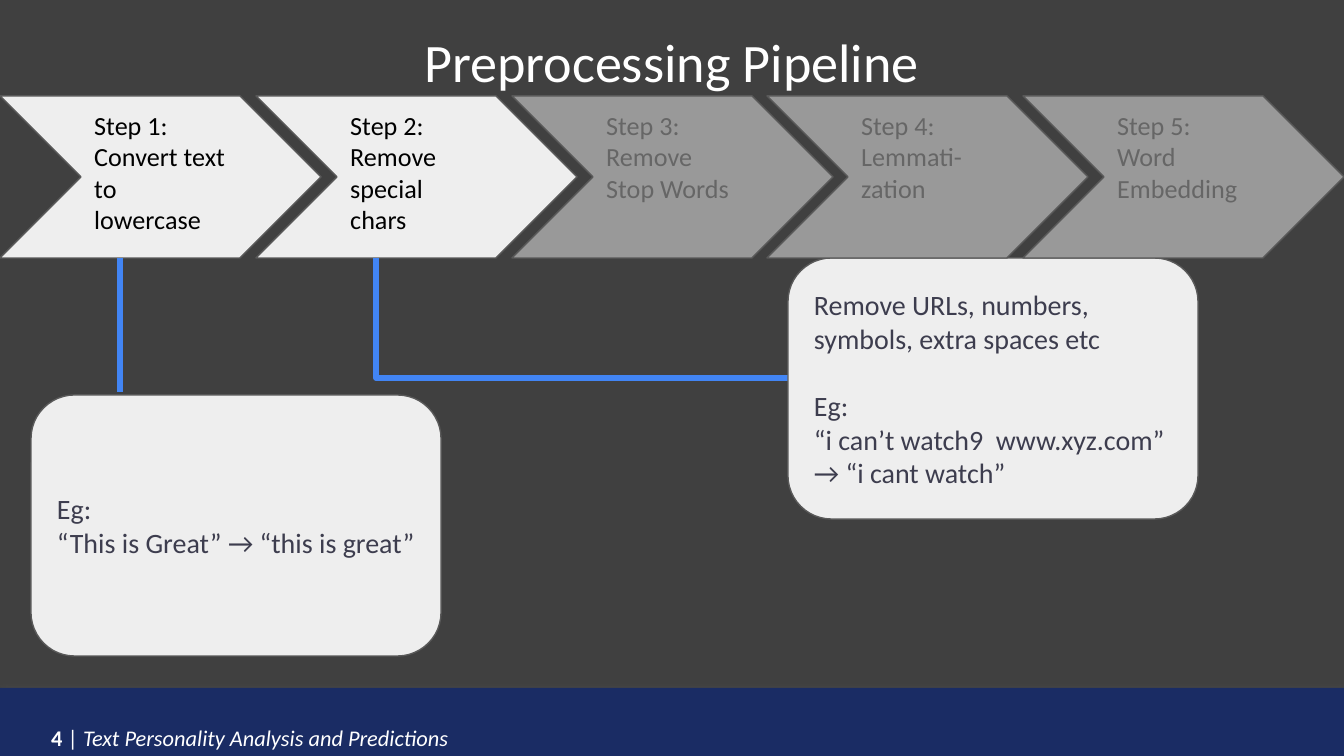
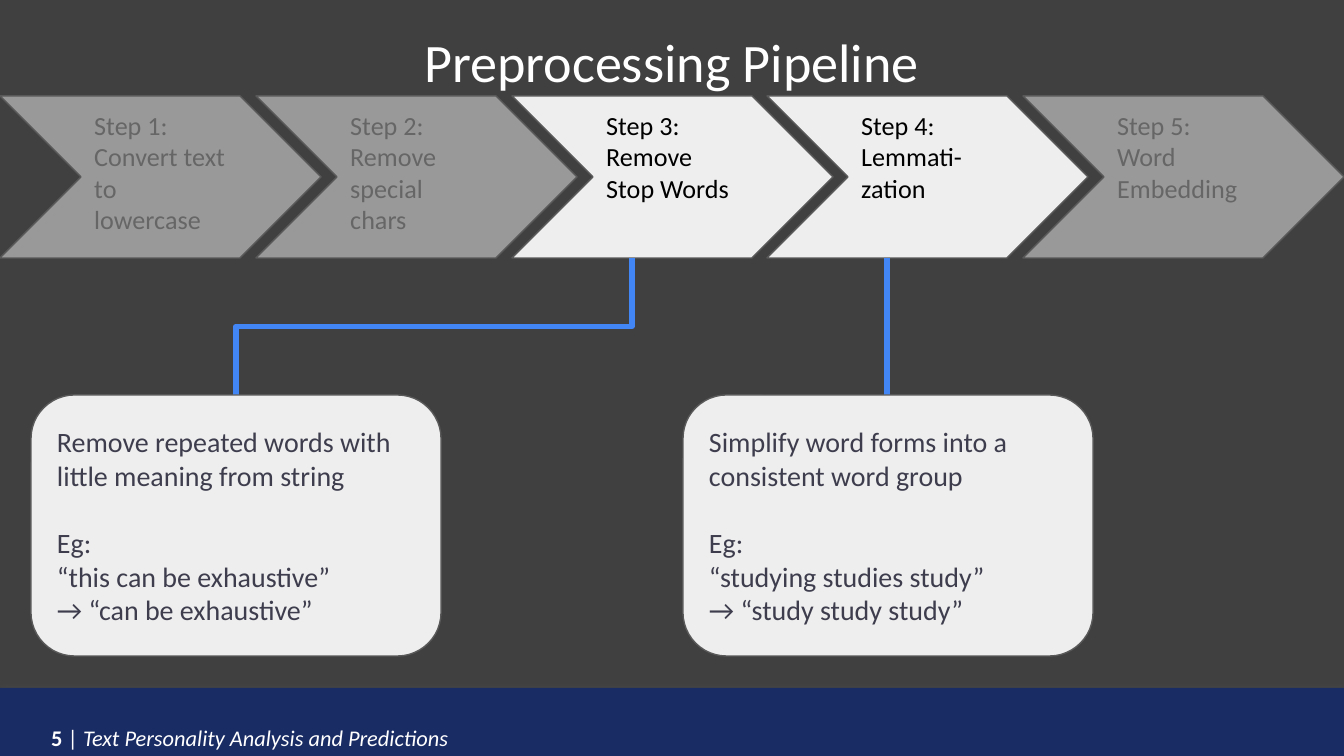
from lxml import etree
from pptx import Presentation
from pptx import util as u
from pptx.dml.color import RGBColor
from pptx.enum import shapes, text
from pptx.oxml.ns import qn

WIDTH, HEIGHT = 1344, 756
PX = u.Inches(10) / WIDTH
FONT = "Calibri"
BACKGROUND, NAVY, WHITE = "404040", "1A2C64", "FFFFFF"
PALE, GREY, OUTLINE, LINK = "EEEEEE", "999999", "595959", "4285F4"
BLACK, FADED, INK, SHADOW = "000000", "666666", "3D3D4E", "808080"

STEPS = [
    ["Step 1:", "Convert text to lowercase"],
    ["Step 2: Remove special chars"],
    ["Step 3: Remove Stop Words"],
    ["Step 4: Lemmati-", "zation"],
    ["Step 5:", "Word Embedding"],
]
STEP_TOP, STEP_WIDTH, STEP_HEIGHT = 96, 321, 162
STEP_BOTTOM = STEP_TOP + STEP_HEIGHT
STEP_LEFTS = [round(i * (WIDTH - STEP_WIDTH) / (len(STEPS) - 1)) for i in range(len(STEPS))]
LINK_STARTS = [left + 120 for left in STEP_LEFTS]
CARD_WIDTH, CARD_HEIGHT = 410, 261
LOW_CARD_TOP = 395

SLIDES = [
    (4, [
        (0, (31, LOW_CARD_TOP), (LINK_STARTS[0], 392), None,
         ["Eg:", "“This is Great” → “this is great”"]),
        (1, (788, STEP_BOTTOM), (788, 378), "bentConnector2",
         ["Remove URLs, numbers, symbols, extra spaces etc", "Eg:",
          "“i can’t watch9  www.xyz.com”", "→ “i cant watch”"]),
    ]),
    (5, [
        (2, (31, LOW_CARD_TOP), (236, LOW_CARD_TOP), "bentConnector3",
         ["Remove repeated words with little meaning from string", "Eg:",
          "“this can be exhaustive”", "→ “can be exhaustive”"]),
        (3, (683, LOW_CARD_TOP), (LINK_STARTS[3], LOW_CARD_TOP), None,
         ["Simplify word forms into a consistent word group", "Eg:",
          "“studying studies study”", "→ “study study study”"]),
    ]),
]


def px(*lengths):
    return [round(length * PX) for length in lengths]


def color(value):
    return RGBColor.from_string(value)


def set_font(paragraph, size, ink):
    paragraph.font.name = FONT
    paragraph.font.size = u.Pt(size)
    paragraph.font.color.rgb = color(ink)


def set_frame(frame, inset, anchor=text.MSO_ANCHOR.TOP):
    frame.word_wrap = True
    frame.vertical_anchor = anchor
    frame.margin_left = frame.margin_right = u.Inches(0.1)
    frame.margin_top = frame.margin_bottom = u.Inches(inset)


def write_lines(frame, lines, size, ink, align=text.PP_ALIGN.LEFT):
    for i, line in enumerate(lines):
        paragraph = frame.paragraphs[0] if i == 0 else frame.add_paragraph()
        paragraph.text = line
        paragraph.alignment = align
        set_font(paragraph, size, ink)
        if i and line == "Eg:":
            paragraph.space_before = u.Pt(18)


def add_block(slide, preset, box, fill, outline=None):
    block = slide.shapes.add_shape(preset, *px(*box))
    block.shadow.inherit = False
    block.fill.solid()
    block.fill.fore_color.rgb = color(fill)
    if outline:
        block.line.color.rgb = color(outline)
        block.line.width = u.Pt(0.75)
    else:
        block.line.fill.background()
    return block


def add_footer(slide, number):
    band = add_block(slide, shapes.MSO_SHAPE.RECTANGLE, (0, 688, WIDTH, 68), NAVY)
    effects = band._element.spPr.find(qn("a:effectLst"))
    shade = etree.SubElement(effects, qn("a:outerShdw"), blurRad=str(u.Pt(5)),
                             dist=str(u.Pt(1.8)), dir="5400000", rotWithShape="0")
    tint = etree.SubElement(shade, qn("a:srgbClr"), val=SHADOW)
    etree.SubElement(tint, qn("a:alpha"), val="35000")

    frame = slide.shapes.add_textbox(*px(38, 691, 998, 58)).text_frame
    set_frame(frame, 0.05)
    paragraph = frame.paragraphs[0]
    paragraph.line_spacing = 2.0
    set_font(paragraph, 12, WHITE)
    for words, bold, italic in [(f"{number} ", True, False), ("| ", False, False),
                                ("Text Personality Analysis and Predictions", False, True)]:
        run = paragraph.add_run()
        run.text = words
        run.font.bold = bold
        run.font.italic = italic


def add_title(slide, title):
    frame = slide.shapes.add_textbox(*px(0, 22, WIDTH, 126)).text_frame
    set_frame(frame, 0.05)
    write_lines(frame, [title], 29, WHITE, text.PP_ALIGN.CENTER)


def add_step(slide, index, active):
    box = (STEP_LEFTS[index], STEP_TOP, STEP_WIDTH, STEP_HEIGHT)
    step = add_block(slide, shapes.MSO_SHAPE.CHEVRON, box, PALE if active else GREY, OUTLINE)
    step.adjustments[0] = 0.5
    set_frame(step.text_frame, 0.1)
    write_lines(step.text_frame, STEPS[index], 14, BLACK if active else FADED)


def add_card(slide, corner, lines):
    box = (*corner, CARD_WIDTH, CARD_HEIGHT)
    card = add_block(slide, shapes.MSO_SHAPE.ROUNDED_RECTANGLE, box, PALE, OUTLINE)
    card.adjustments[0] = 0.167
    set_frame(card.text_frame, 0.1, text.MSO_ANCHOR.MIDDLE)
    write_lines(card.text_frame, lines, 15, INK)


def add_link(slide, start, end, bend):
    kind, ends = shapes.MSO_CONNECTOR.STRAIGHT, (*start, *end)
    rightward = end[0] > start[0]
    if bend:
        run, drop = abs(end[0] - start[0]), end[1] - start[1]
        left = (start[0] + end[0] - drop) / 2
        top = (start[1] + end[1] - run) / 2
        near, far = (left + drop, left) if rightward else (left, left + drop)
        kind, ends = shapes.MSO_CONNECTOR.ELBOW, (near, top, far, top + run)
    link = slide.shapes.add_connector(kind, *px(*ends))
    link.line.color.rgb = color(LINK)
    link.line.width = u.Pt(3)
    properties = link._element.spPr
    if bend:
        properties.find(qn("a:xfrm")).set("rot", str((270 if rightward else 90) * 60000))
        properties.find(qn("a:prstGeom")).set("prst", bend)
    etree.SubElement(properties, qn("a:effectLst"))


def add_pipeline_slide(deck, number, details):
    slide = deck.slides.add_slide(deck.slide_layouts[6])
    slide.background.fill.solid()
    slide.background.fill.fore_color.rgb = color(BACKGROUND)
    add_footer(slide, number)
    active = [detail[0] for detail in details]
    for index in active:
        add_step(slide, index, True)
    add_title(slide, "Preprocessing Pipeline")
    for index, corner, end, bend, lines in details:
        add_link(slide, (LINK_STARTS[index], STEP_BOTTOM), end, bend)
        add_card(slide, corner, lines)
    for index in range(len(STEPS)):
        if index not in active:
            add_step(slide, index, False)


def main():
    deck = Presentation()
    deck.slide_width, deck.slide_height = px(WIDTH, HEIGHT)
    for number, details in SLIDES:
        add_pipeline_slide(deck, number, details)
    deck.save("out.pptx")


if __name__ == "__main__":
    main()
